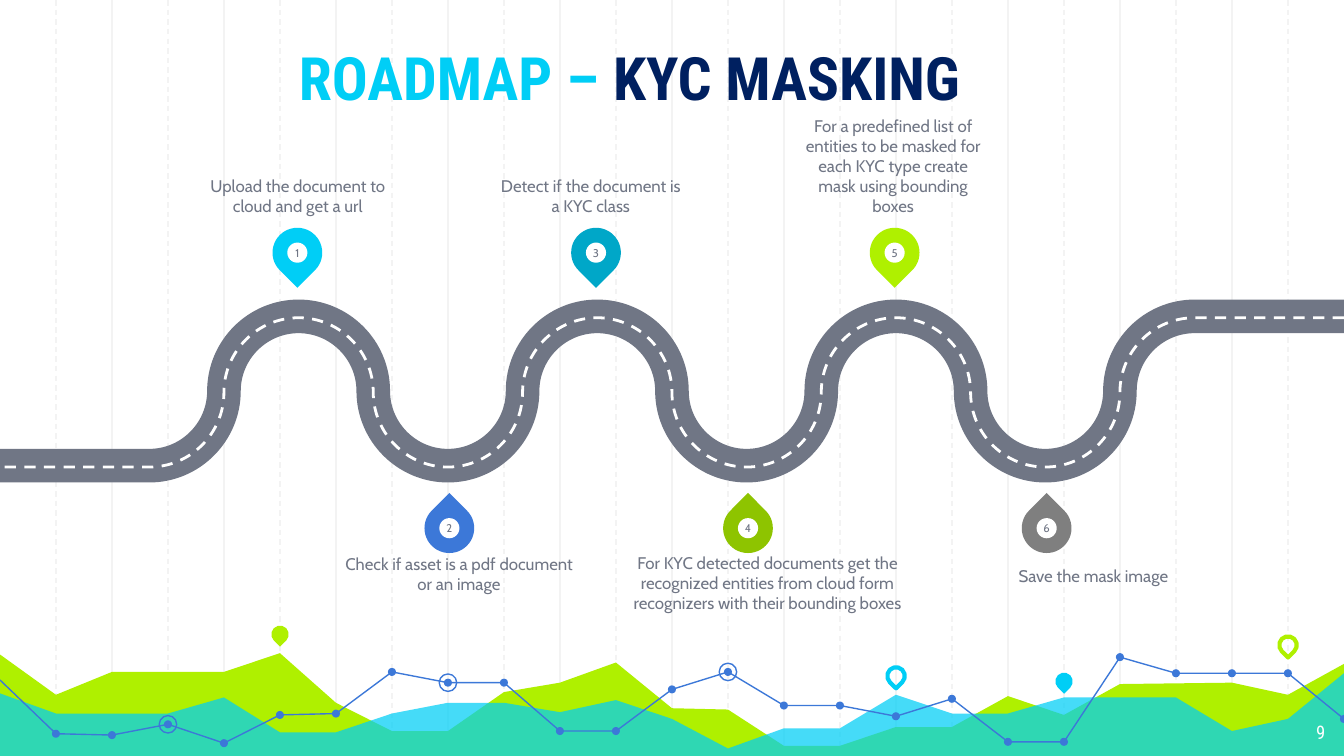
from lxml.etree import SubElement
from pptx import Presentation
from pptx.dml.color import RGBColor
from pptx.enum.dml import MSO_LINE
from pptx.enum.shapes import MSO_CONNECTOR, MSO_SHAPE
from pptx.enum.text import MSO_ANCHOR, PP_ALIGN
from pptx.oxml.ns import qn
from pptx.oxml.xmlchemy import OxmlElement
from pptx.util import Inches, Pt


class Theme:
    cyan, teal, blue, navy = "00CEF6", "00A7C8", "3C78D8", "002060"
    lime, green, grey, slate = "AFF000", "8EC400", "7F7F7F", "707685"
    white, grid = "FFFFFF", "F3F3F3"
    heading, body = "Roboto Condensed", "Cabin"
    title, page, caption, number = 32, 10, 9, 6


W, H = 10, 5.625
COL = W / 24        # background grid and skyline
BEND = W / 18       # radius of every bend in the road
ROAD_MID = 2.91
ROUNDNESS = 0.55    # control point distance that makes a quarter circle

prs = Presentation()
prs.slide_width, prs.slide_height = Inches(W), Inches(H)
s = prs.slides.add_slide(prs.slide_layouts[6])


def paint(sp, fill=None, line=None, width=0.75):
    sp.shadow.inherit = False
    if fill:
        sp.fill.solid()
        sp.fill.fore_color.rgb = RGBColor.from_string(fill)
    else:
        sp.fill.background()
    if line:
        sp.line.color.rgb = RGBColor.from_string(line)
        sp.line.width = Pt(width)
    else:
        sp.line.fill.background()


def write(sp, runs, size, font, align=PP_ALIGN.CENTER, anchor=MSO_ANCHOR.TOP, inset=0):
    """Fill a shape with one paragraph made of (text, colour) runs."""
    tf = sp.text_frame
    tf.word_wrap = True
    tf.vertical_anchor = anchor
    tf.margin_left = tf.margin_right = tf.margin_top = tf.margin_bottom = Inches(inset)
    p = tf.paragraphs[0]
    p.alignment = align
    p.font.size, p.font.name = Pt(size), font
    for text, color in runs:
        r = p.add_run()
        r.text = text
        r.font.color.rgb = RGBColor.from_string(color)


# Background grid: dashed on odd columns, solid on even ones
for i in [*range(2, 24, 2), *range(1, 24, 2)]:
    x = Inches(i * COL)
    line = s.shapes.add_connector(MSO_CONNECTOR.STRAIGHT, x, 0, x, Inches(H))
    line.line.color.rgb = RGBColor.from_string(Theme.grid)
    line.line.width = Pt(0.75)
    if i % 2:
        line.line.dash_style = MSO_LINE.DASH
    SubElement(line._element.spPr, qn("a:effectLst"))

# Skyline heights, one per grid column; None where the edge runs straight on
lime_hills = [4.87, 5.17, 5, None, 5, 4.86, 5.23, 5.44, 5.44, 5.15, 5.08, 4.93, 5.27,
              5.28, 5.55, 5.55, 5.41, 5.41, 5.18, 5.32, 5.09, None, 5.08, 5.17, 4.94]
cyan_hills = [5.16, 5.31, None, 5.31, 5.19, 5.45, 5.45, 5.31, 5.23, 5.23, 5.3, 5.21, 5.35,
              5.57, 5.42, 5.42, 5.17, 5.31, 5.31, 5.19, None, 5.19, 5.44, 5.35, 5.01]
trend = [5.06, 5.46, 5.47, 5.39, 5.53, 5.32, 5.31, 5, 5.08, 5.08, 5.44, 5.44, 5.13,
         5, 5.25, 5.25, 5.33, 5.2, 5.52, 5.52, 4.89, 5.01, 5.01, 5.01, 5.35]
lime_area, cyan_area, trend_line = (
    [(i * COL, y) for i, y in enumerate(ys) if y] for ys in (lime_hills, cyan_hills, trend))
base = [(W, H), (0, H)]

# Road from the right edge to the left, one point per quarter circle
levels = [-1, 0, 1, 0]
road = [(W, ROAD_MID - BEND)]
road += [(BEND * (16 - i), ROAD_MID + BEND * levels[i % 4]) for i in range(15)]
road.append((0, ROAD_MID + BEND))
lane = [(x, y + 0.01) for x, y in road]

# Outlines: points, fill, line, line width, opacity in percent
outlines = [(lime_area + base, Theme.lime, None, 0, None),
            (cyan_area + base, Theme.cyan, None, 0, 73)]
outlines += [(trend_line[a:b + 1], None, Theme.blue, 0.75, None)
             for a, b in [(0, 11), (11, 20), (20, 24)]]
outlines += [(road, None, Theme.slate, 18, None), (lane, None, Theme.white, 1.5, None)]
for points, fill, color, width, opacity in outlines:
    start, *rest = [(Inches(x), Inches(y)) for x, y in points]
    builder = s.shapes.build_freeform(*start)
    builder.add_line_segments(rest, close=bool(fill))
    sp = builder.convert_to_shape()
    paint(sp, fill, color, width)
    if opacity:
        clr = sp._element.spPr.find(qn("a:solidFill"))[0]
        SubElement(clr, qn("a:alpha")).set("val", str(opacity * 1000))
    if points is lane:
        sp.line.dash_style = MSO_LINE.DASH
    if points in (road, lane):
        # Turn the straight steps between quarter points into curves
        steps = list(sp._element.spPr.find(".//" + qn("a:path")))
        for i, (before, step) in enumerate(zip(steps[1:-2], steps[2:-1])):
            (x0, y0), (x1, y1) = [(int(e[-1].get("x")), int(e[-1].get("y")))
                                  for e in (before, step)]
            dx, dy = ROUNDNESS * (x1 - x0), ROUNDNESS * (y1 - y0)
            if i % 2:
                controls = [(x0, y0 + dy), (x1 - dx, y1)]
            else:
                controls = [(x0 + dx, y0), (x1, y1 - dy)]
            step.tag = qn("a:cubicBezTo")
            for n, (x, y) in enumerate(controls):
                pt = OxmlElement("a:pt")
                pt.set("x", str(round(x)))
                pt.set("y", str(round(y)))
                step.insert(n, pt)

# Marks: shape, centre, size, rotation, fill, line, line width, number
PIN, DOT = MSO_SHAPE.TEAR, MSO_SHAPE.OVAL
marks = [(PIN, i * COL, y, 0.13, 135, fill, color, 2.25, None) for i, y, fill, color in [
    (5, 4.72, Theme.lime, None), (16, 5.03, None, Theme.cyan),
    (19, 5.07, Theme.cyan, None), (23, 4.8, None, Theme.lime)]]
marks += [(DOT, x, y, 0.06, 0, Theme.blue, None, 0, None) for x, y in trend_line[1:]]
marks += [(DOT, *trend_line[i], 0.13, 0, None, Theme.blue, 0.75, None) for i in (3, 8, 13)]
step_colors = [Theme.cyan, Theme.blue, Theme.teal, Theme.green, Theme.lime, Theme.grey]
for n, color in enumerate(step_colors, 1):
    shift, y, turn = (-0.01, 1.88, 135) if n % 2 else (0.01, 3.93, 315)
    x = BEND * (2 * n + 2) + shift
    marks += [(PIN, x, y, 0.37, turn, color, None, 0, None),
              (DOT, x, y, 0.15, 0, Theme.white, None, 0, str(n))]
for kind, x, y, d, turn, fill, color, width, number in marks:
    sp = s.shapes.add_shape(kind, Inches(x - d / 2), Inches(y - d / 2), Inches(d), Inches(d))
    sp.rotation = turn
    paint(sp, fill, color, width)
    if number:
        write(sp, [(number, Theme.slate)], Theme.number, Theme.body, anchor=MSO_ANCHOR.MIDDLE)

# Title, page number and step captions
title = s.shapes.add_textbox(Inches(0.86), Inches(0.16), Inches(7.65), Inches(0.78))
write(title, [("ROADMAP – ", Theme.cyan), ("KYC MASKING", Theme.navy)],
      Theme.title, Theme.heading, anchor=MSO_ANCHOR.BOTTOM, inset=0.1)
title.text_frame.paragraphs[0].font.bold = True

page = s.shapes.add_textbox(Inches(9.36), Inches(5.28), Inches(0.6), Inches(0.35))
write(page, [("9", Theme.white)], Theme.page, Theme.heading, PP_ALIGN.RIGHT, inset=0.1)

captions = [
    (1.51, 1.03, 1.41, "Upload the document to cloud and get a url"),
    (2.56, 4.12, 1.71, "Check if asset is a pdf document or an image"),
    (3.69, 1.03, 1.41, "Detect if the document is a KYC class"),
    (4.51, 4.11, 2.4, "For KYC detected documents get the recognized entities from cloud form "
                      "recognizers with their bounding boxes"),
    (5.94, 1.03, 1.41, "For a predefined list of entities to be masked for each KYC type "
                       "create mask using bounding boxes"),
    (7.08, 4.21, 2.11, "Save the mask image"),
]
for x, y, w, text in captions:
    box = s.shapes.add_textbox(Inches(x), Inches(y), Inches(w), Inches(0.58))
    anchor = MSO_ANCHOR.BOTTOM if y < ROAD_MID else MSO_ANCHOR.TOP
    write(box, [(text, Theme.slate)], Theme.caption, Theme.body, anchor=anchor)

prs.save("out.pptx")
